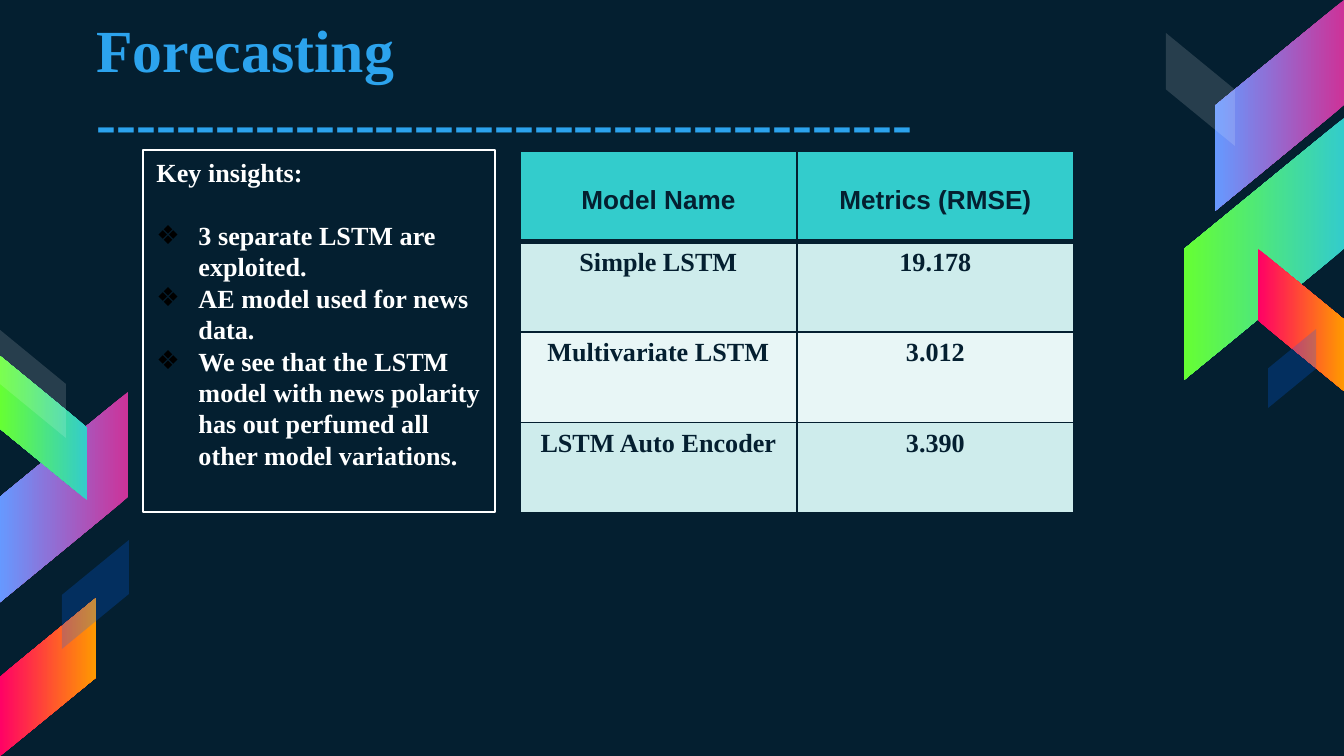
from lxml import etree
from pptx import Presentation
from pptx.dml.color import RGBColor
from pptx.enum.shapes import MSO_SHAPE
from pptx.enum.text import MSO_ANCHOR, MSO_AUTO_SIZE, PP_ALIGN
from pptx.oxml.ns import qn
from pptx.util import Emu, Pt

PARALLELOGRAM = MSO_SHAPE.PARALLELOGRAM
TOP = MSO_ANCHOR.TOP
NO_FIT = MSO_AUTO_SIZE.NONE
LEFT, CENTER = PP_ALIGN.LEFT, PP_ALIGN.CENTER
SERIF, SANS = "Times New Roman", "Arial"
EMU_PER_PX = 914400 / 134.4

COLORS = {
    "navy": "041F30", "title": "2CA3ED", "white": "FFFFFF", "black": "000000",
    "header": "33CCCC", "band_dark": "CEECEC", "band_light": "E8F6F6",
    "magenta": "CC3399", "periwinkle": "6699FF", "teal": "33CCCC",
    "lime": "66FF33", "pink": "FF0066", "orange": "FF9900", "blue": "0066FF",
}

TITLE = ["Forecasting", "-" * 41]
INSIGHTS_HEADING = "Key insights:"
INSIGHTS = [
    "3 separate LSTM are exploited.",
    "AE model used for news data.",
    "We see that the LSTM model with news polarity has out perfumed "
    "all other model variations.",
]
METRICS = [
    ("Model Name", "Metrics (RMSE)"),
    ("Simple LSTM", "19.178"),
    ("Multivariate LSTM", "3.012"),
    ("LSTM Auto Encoder", "3.390"),
]

PURPLE = ("magenta", "periwinkle")
GREEN = ("teal", "lime")
FIRE = ("pink", "orange")
# visible box (left, top, width, height), rotation, flipped, paint:
# two colours make a gradient, a colour and a number give opacity in percent
RIBBONS = [
    ((1215, 0, 129, 211), 90, True, PURPLE),
    ((1184, 118, 160, 262), 90, True, GREEN),
    ((1258, 249, 86, 142), 270, False, FIRE),
    ((1166, 33, 69, 113), 270, False, ("white", 14)),
    ((1268, 329, 48, 79), 270, True, ("blue", 23)),
    ((-1, 392, 129, 211), 90, True, PURPLE),
    ((0, 356, 87, 144), 90, False, GREEN),
    ((-1, 598, 97, 159), 270, True, FIRE),
    ((-1, 329, 67, 109), 270, False, ("white", 14)),
    ((62, 540, 67, 109), 270, True, ("blue", 23)),
]
TITLE_BOX = (83, 0, 878, 94)
INSIGHTS_BOX = (143, 150, 352, 362)
TABLE_BOX = (520, 151, 554, 362)
BULLET_INDENT = 42


def px(value):
    return Emu(round(value * EMU_PER_PX))


def rgb(name):
    return RGBColor.from_string(COLORS[name])


def place(shape, box):
    shape.left, shape.top, shape.width, shape.height = map(px, box)


def style(paragraph, size, color, font=SERIF, align=LEFT):
    paragraph.alignment = align
    paragraph.space_before = Pt(0)
    paragraph.font.size = Pt(size)
    paragraph.font.name = font
    paragraph.font.bold = True
    paragraph.font.color.rgb = rgb(color)


def add_ribbon(slide, box, rotation, flipped, paint):
    """Add a parallelogram turned on its side so that it fills the visible box."""
    left, top, width, height = box
    shift = (height - width) / 2
    frame = (left - shift, top + shift, height, width)
    shape = slide.shapes.add_shape(PARALLELOGRAM, *map(px, frame))
    shape.adjustments[0] = 0.82
    shape.rotation = rotation
    shape.shadow.inherit = False
    shape.line.fill.background()
    if flipped:
        shape._element.spPr.xfrm.set("flipH", "1")
    first, second = paint
    if isinstance(second, str):
        shape.fill.gradient()
        shape.fill.gradient_angle = 270
        for stop, color in zip(shape.fill.gradient_stops, paint):
            stop.color.rgb = rgb(color)
    else:
        shape.fill.solid()
        shape.fill.fore_color.rgb = rgb(first)
        color = shape._element.spPr.find(".//" + qn("a:srgbClr"))
        etree.SubElement(color, qn("a:alpha"), val=str(second * 1000))


def set_bullet(paragraph, char):
    """Give the paragraph a hanging black bullet, or none when char is empty."""
    properties = paragraph._p.get_or_add_pPr()
    indent = px(BULLET_INDENT) if char else 0
    properties.set("marL", str(indent))
    properties.set("indent", str(-indent))
    if not char:
        etree.SubElement(properties, qn("a:buNone"))
        return
    color = etree.SubElement(properties, qn("a:buClr"))
    etree.SubElement(color, qn("a:srgbClr"), val=COLORS["black"])
    etree.SubElement(properties, qn("a:buFont"), typeface=SANS)
    etree.SubElement(properties, qn("a:buChar"), char=char)


def set_borders(cell, top, bottom):
    properties = cell._tc.get_or_add_tcPr()
    for side, width in (("L", 1), ("R", 1), ("T", top), ("B", bottom)):
        line = etree.SubElement(properties, qn(f"a:ln{side}"), w=str(Pt(width)))
        fill = etree.SubElement(line, qn("a:solidFill"))
        etree.SubElement(fill, qn("a:srgbClr"), val=COLORS["navy"])


def fill_title(title):
    place(title, TITLE_BOX)
    frame = title.text_frame
    frame.auto_size = NO_FIT
    frame.vertical_anchor = TOP
    frame.margin_top = px(13)
    frame.text = "\n".join(TITLE)
    for paragraph in frame.paragraphs:
        style(paragraph, 32, "title")


def fill_insights(body):
    place(body, INSIGHTS_BOX)
    body.line.color.rgb = rgb("white")
    body.line.width = Pt(0.75)
    frame = body.text_frame
    frame.auto_size = NO_FIT
    frame.text = "\n".join([INSIGHTS_HEADING, *INSIGHTS])
    for index, paragraph in enumerate(frame.paragraphs):
        set_bullet(paragraph, "❖" if index else "")
        style(paragraph, 14, "white")
        paragraph.line_spacing = Pt(16.8)
    frame.paragraphs[0].space_after = Pt(16.8)


def add_metrics(slide):
    rows, columns = len(METRICS), len(METRICS[0])
    table = slide.shapes.add_table(rows, columns, *map(px, TABLE_BOX)).table
    table.horz_banding = False
    for row, values in enumerate(METRICS):
        header = row == 0
        band = "header" if header else "band_dark" if row % 2 else "band_light"
        for column, value in enumerate(values):
            cell = table.cell(row, column)
            set_borders(cell, 3 if row == 1 else 1, 3 if header else 1)
            cell.fill.solid()
            cell.fill.fore_color.rgb = rgb(band)
            cell.text = value
            if header:
                cell.margin_top = px(35)
            style(cell.text_frame.paragraphs[0], 14, "navy",
                  SANS if header else SERIF, CENTER)


def main():
    presentation = Presentation()
    presentation.slide_width, presentation.slide_height = px(1344), px(756)
    slide = presentation.slides.add_slide(presentation.slide_layouts[1])
    slide.background.fill.solid()
    slide.background.fill.fore_color.rgb = rgb("navy")
    for ribbon in RIBBONS:
        add_ribbon(slide, *ribbon)
    fill_title(slide.shapes.title)
    fill_insights(slide.placeholders[1])
    add_metrics(slide)
    presentation.save("out.pptx")


if __name__ == "__main__":
    main()
